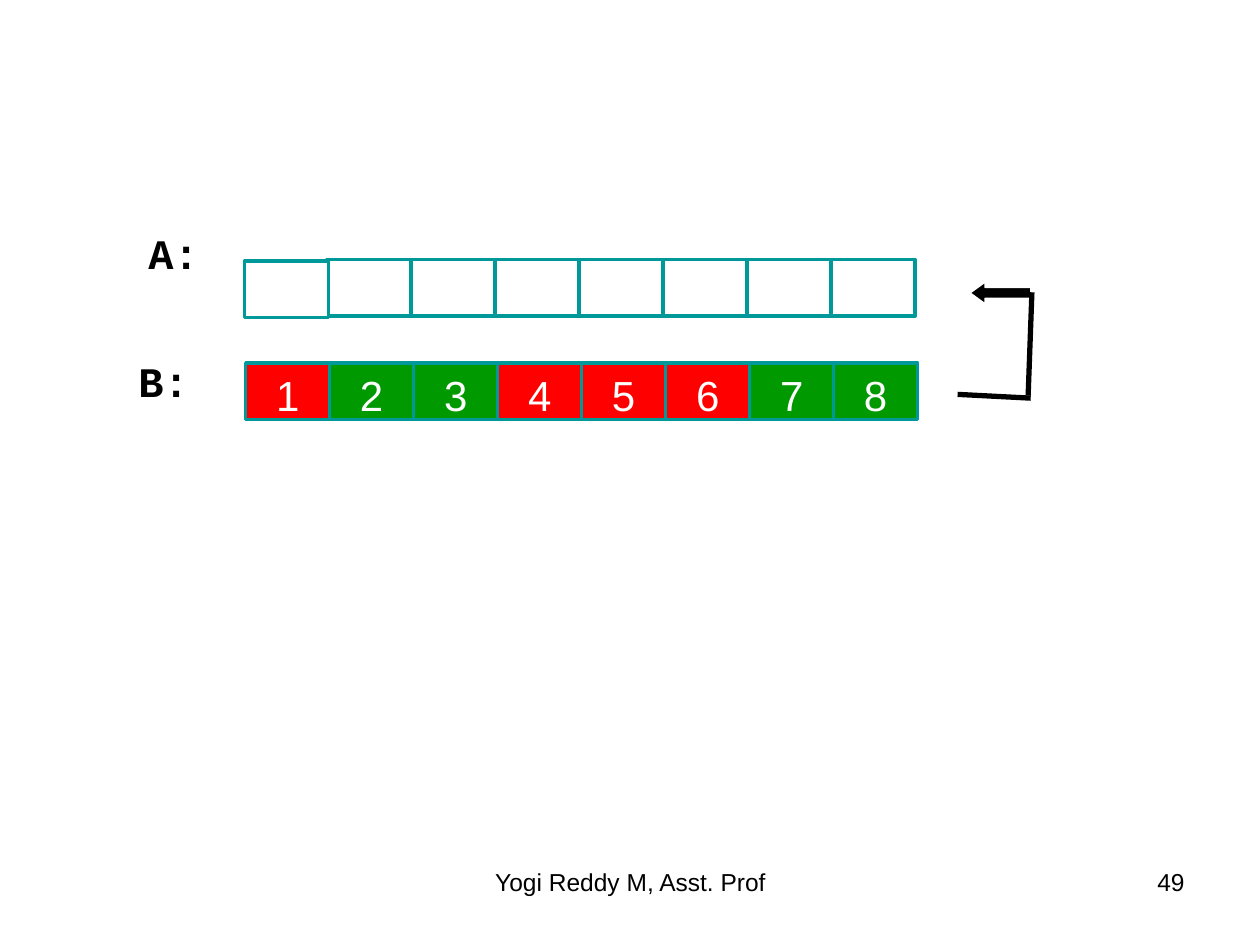
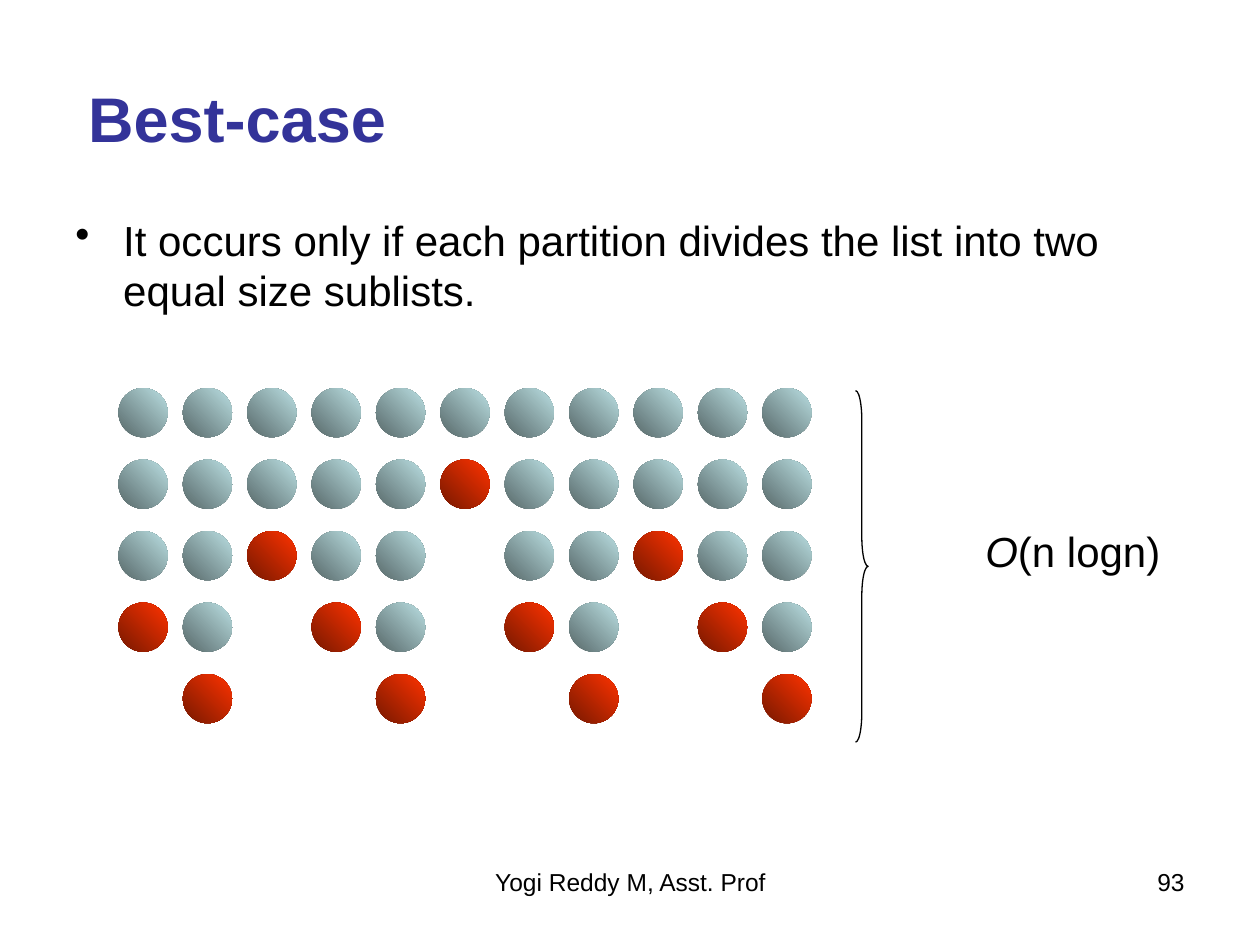
from lxml import etree
from pptx import Presentation
from pptx.dml.color import RGBColor
from pptx.enum.shapes import MSO_CONNECTOR, MSO_SHAPE as SHAPE
from pptx.enum.text import MSO_ANCHOR as ANCHOR, PP_ALIGN as ALIGN
from pptx.oxml.ns import qn
from pptx.util import Inches, Pt

COLORS = {
    "ink": "000000", "paper": "FFFFFF", "title": "333399",
    "red": "FF0000", "green": "009900", "cell_edge": "009999",
}
BALL_GRADIENTS = {"o": ("576869", "BBE0E3"), "P": ("761800", "FF3300")}

AUTHOR = "Yogi Reddy M, Asst. Prof"
PAGES = (49, 93)

# Array rows: label, label position, left and top of the cells, cell values and fills
ARRAYS = [
    ("B:", (1, 2.77), (1.95, 2.88),
     list(zip("12345678", ("red", "green", "green", "red", "red", "red", "green", "green")))),
    ("A:", (1.08, 1.76), (1.93, 2.06), [("", "paper")] * 8),
]
FIRST_EMPTY_CELL = (1.94, 2.07)
CELL_WIDTH, CELL_HEIGHT = 2 / 3, 0.45
COPY_BACK_LINES = [((8.19, 2.32), (8.16, 3.14)), ((7.6, 3.13), (8.18, 3.16))]

TITLE = "Best-case"
STATEMENT = "It occurs only if each partition divides the list into two equal size sublists."
COST = [("O", True), ("(n logn)", False)]
# One line per level of partitioning: o = element, P = pivot, space = already placed
LEVELS = [
    "ooooooooooo",
    "oooooPooooo",
    "ooPoo ooPoo",
    "Po Po Po Po",
    " P  P  P  P",
]
BALLS_LEFT, BALLS_TOP, BALL_SIZE = 0.94, 3.08, 0.39
BALL_STEP_X = 5.11 / (len(LEVELS[0]) - 1)
BALL_STEP_Y = 2.27 / (len(LEVELS) - 1)


def rgb(name):
    return RGBColor.from_string(COLORS.get(name, name))


def write(shape, text, size=24, font="Arial", color="ink", bold=False, align=ALIGN.LEFT,
          anchor=ANCHOR.TOP, wrap=True, bottom=0.05, bullet=False):
    """Fill a shape with one paragraph; text is a string or (words, italic) pairs."""
    frame = shape.text_frame
    frame.word_wrap = wrap
    frame.vertical_anchor = anchor
    frame.margin_left = frame.margin_right = Inches(0.1)
    frame.margin_top, frame.margin_bottom = Inches(0.05), Inches(bottom)
    paragraph = frame.paragraphs[0]
    paragraph.alignment = align
    if bullet:
        props = paragraph._p.get_or_add_pPr()
        props.set("marL", str(Inches(0.38)))
        props.set("indent", str(-Inches(0.38)))
        etree.SubElement(props, qn("a:buChar")).set("char", "•")
    paragraph.font.size = Pt(size)
    for words, italic in [(text, False)] if isinstance(text, str) else text:
        run = paragraph.add_run()
        run.text = words
        run.font.name, run.font.size = font, Pt(size)
        run.font.bold, run.font.italic = bold, italic
        run.font.color.rgb = rgb(color)


def add_text(slide, text, left, top, width, height, **style):
    box = slide.shapes.add_textbox(*map(Inches, (left, top, width, height)))
    write(box, text, **style)


def add_preset(slide, kind, left, top, width, height, fill=None, line=None, weight=0.75):
    shape = slide.shapes.add_shape(kind, *map(Inches, (left, top, width, height)))
    shape.shadow.inherit = False
    if fill:
        shape.fill.solid()
        shape.fill.fore_color.rgb = rgb(fill)
    else:
        shape.fill.background()
    if line:
        shape.line.color.rgb = rgb(line)
        shape.line.width = Pt(weight)
    else:
        shape.line.fill.background()
    return shape


def add_line(slide, start, end):
    line = slide.shapes.add_connector(MSO_CONNECTOR.STRAIGHT, *map(Inches, start + end))
    line.line.color.rgb = rgb("ink")
    line.line.width = Pt(3)
    etree.SubElement(line._element.spPr, qn("a:effectLst"))


def add_footer(slide, page):
    add_text(slide, AUTHOR, 3.42, 6.83, 3.17, 0.52, size=14, align=ALIGN.CENTER)
    add_text(slide, str(page), 7.17, 6.83, 2.33, 0.52, size=14, align=ALIGN.RIGHT)


def add_array(slide, label, label_at, cells_at, cells):
    # The first cell goes last so that it overlaps its neighbour
    for index in [*range(1, len(cells)), 0]:
        value, fill = cells[index]
        left, top = cells_at[0] + index * CELL_WIDTH, cells_at[1]
        if index == 0 and not value:
            left, top = FIRST_EMPTY_CELL
        cell = add_preset(slide, SHAPE.RECTANGLE, left, top, CELL_WIDTH, CELL_HEIGHT,
                          fill, "cell_edge", 2)
        if value:
            write(cell, value, color="paper", align=ALIGN.CENTER, bottom=0)
    add_text(slide, label, *label_at, 0.69, 0.5, font="Courier New", bold=True)


def add_ball(slide, row, column, kind):
    ball = add_preset(slide, SHAPE.OVAL, BALLS_LEFT + column * BALL_STEP_X,
                      BALLS_TOP + row * BALL_STEP_Y, BALL_SIZE, BALL_SIZE)
    ball.fill.gradient()
    ball.fill.gradient_angle = 45
    for stop, color in zip(ball.fill.gradient_stops, BALL_GRADIENTS[kind]):
        stop.color.rgb = rgb(color)


def build_merge_slide(deck):
    slide = deck.slides.add_slide(deck.slide_layouts[6])
    for array in ARRAYS:
        add_array(slide, *array)
    arrow = add_preset(slide, SHAPE.LEFT_ARROW, 7.7, 2.24, 0.48, 0.17, "ink", "paper")
    arrow.adjustments[1] = 0.69
    for start, end in COPY_BACK_LINES:
        add_line(slide, start, end)
    return slide


def build_best_case_slide(deck):
    slide = deck.slides.add_slide(deck.slide_layouts[5])
    title = slide.shapes.title
    title.left, title.top, title.width, title.height = map(Inches, (0.6, 0.58, 3, 0.7))
    write(title, TITLE, size=36, color="title", bold=True)
    add_text(slide, STATEMENT, 0.5, 1.65, 9, 0.9, bullet=True)
    for row, level in enumerate(LEVELS):
        for column, kind in enumerate(level):
            if kind in BALL_GRADIENTS:
                add_ball(slide, row, column, kind)
    brace = add_preset(slide, SHAPE.RIGHT_BRACE, 6.79, 3.1, 0.1, 2.79, line="ink")
    brace.adjustments[0] = 2.33
    add_text(slide, COST, 7.58, 4.06, 1.87, 0.63, align=ALIGN.CENTER,
             anchor=ANCHOR.MIDDLE, wrap=False)
    return slide


def main():
    deck = Presentation()
    deck.slide_width, deck.slide_height = Inches(10), Inches(7.5)
    for build, page in zip((build_merge_slide, build_best_case_slide), PAGES):
        add_footer(build(deck), page)
    deck.save("out.pptx")


if __name__ == "__main__":
    main()
